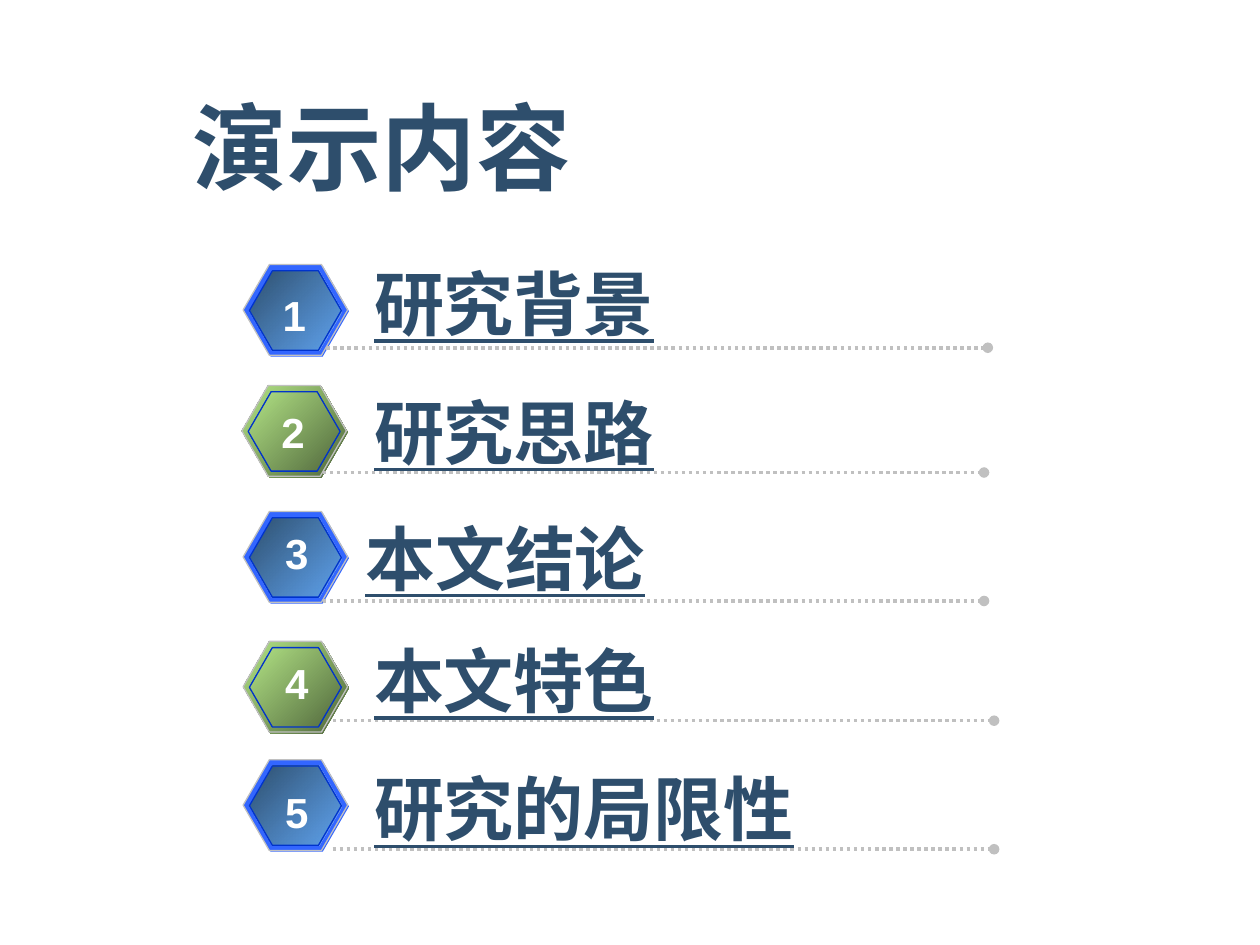
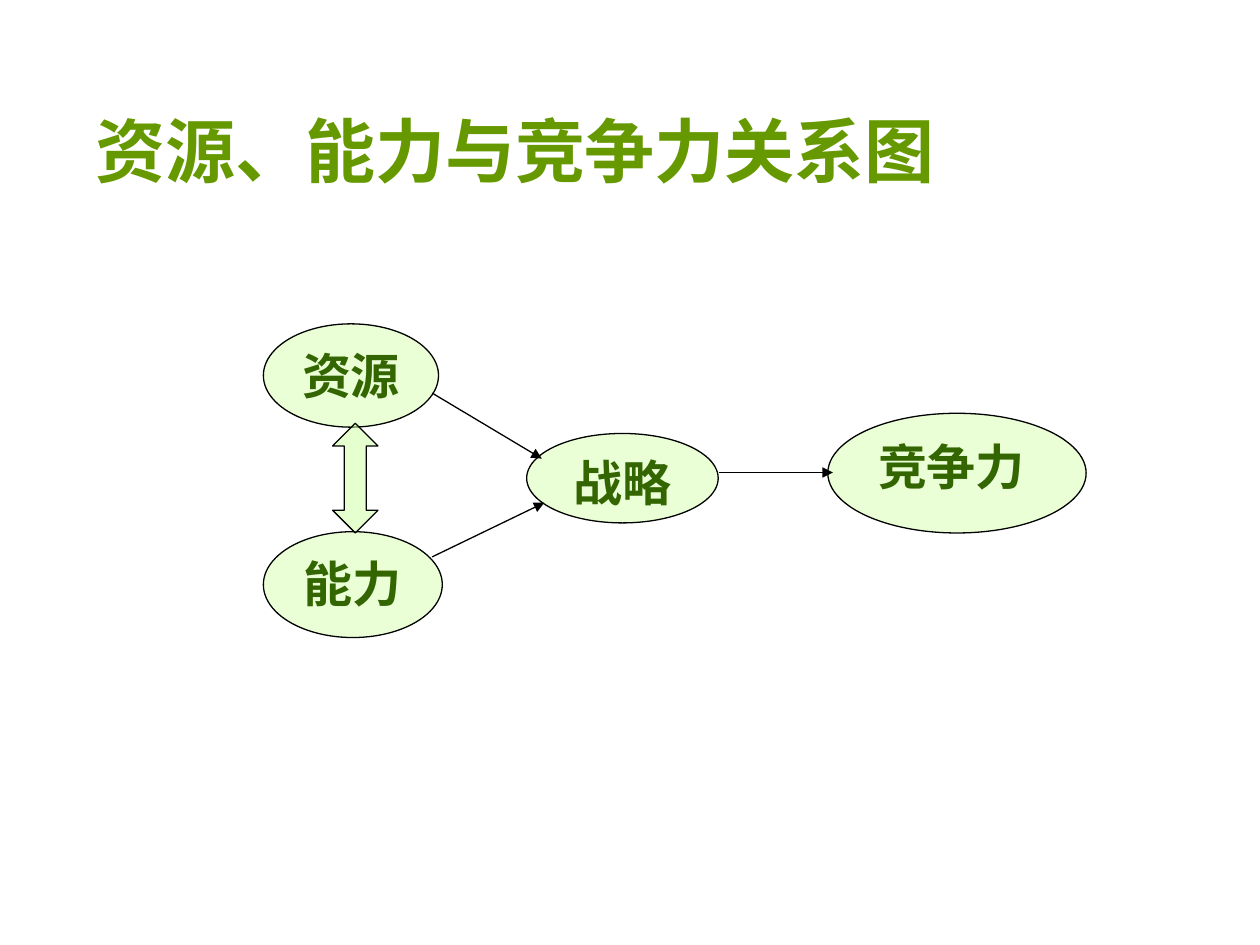
from dataclasses import dataclass

from lxml import etree
from pptx import Presentation
from pptx.dml.color import RGBColor
from pptx.enum.dml import MSO_LINE
from pptx.enum.shapes import MSO_CONNECTOR, MSO_SHAPE
from pptx.enum.text import MSO_ANCHOR, PP_ALIGN
from pptx.oxml.ns import qn
from pptx.util import Inches, Pt

HEXAGON, OVAL = MSO_SHAPE.HEXAGON, MSO_SHAPE.OVAL
UP_DOWN = MSO_SHAPE.UP_DOWN_ARROW
STRAIGHT = MSO_CONNECTOR.STRAIGHT
DOTTED = MSO_LINE.ROUND_DOT
TOP, MIDDLE = MSO_ANCHOR.TOP, MSO_ANCHOR.MIDDLE
LEFT, CENTER, JUSTIFY = PP_ALIGN.LEFT, PP_ALIGN.CENTER, PP_ALIGN.JUSTIFY


@dataclass(frozen=True)
class Theme:
    navy: str = "2E4E6C"
    sky: str = "65AAE9"
    blue: str = "3366FF"
    outline: str = "0033CC"
    olive: str = "52693D"
    lime: str = "B2E385"
    silver: str = "C0C0C0"
    white: str = "FFFFFF"
    black: str = "000000"
    title_green: str = "669900"
    node_fill: str = "CCFF99"
    node_text: str = "336600"
    chinese: str = "Noto Sans CJK SC"
    sans: str = "Arial"
    serif: str = "Times New Roman"
    agenda_title: int = 54
    heading: int = 40
    node: int = 28
    number: int = 24
    hairline: float = 0.75
    dotted: int = 2


theme = Theme()


def write(shape, text, font, size, color, align=LEFT, anchor=TOP, wrap=True, underline=None):
    """Fill a shape with one bold run."""
    frame = shape.text_frame
    frame.word_wrap = wrap
    frame.vertical_anchor = anchor
    para = frame.paragraphs[0]
    para.alignment = align
    span = para.add_run()
    span.text = text
    span.font.name = font
    span.font.size = Pt(size)
    span.font.bold = True
    span.font.underline = underline
    span.font.color.rgb = RGBColor.from_string(color)
    east_asian = etree.SubElement(span.font._element, qn("a:ea"))
    east_asian.set("typeface", theme.chinese)
    return para


def draw_line(shapes, start, end, color, width, tip):
    """Draw a straight line with a tip at its end."""
    line = shapes.add_connector(STRAIGHT, *map(Inches, start + end))
    line.line.color.rgb = RGBColor.from_string(color)
    line.line.width = Pt(width)
    properties = line.element.spPr
    tail = etree.SubElement(properties.find(qn("a:ln")), qn("a:tailEnd"))
    tail.set("type", tip)
    etree.SubElement(properties, qn("a:effectLst"))
    return line


deck = Presentation()
deck.slide_width, deck.slide_height = Inches(10), Inches(7.5)
blank = deck.slide_layouts[6]

# Slide 1: agenda
page = deck.slides.add_slide(blank)
box = page.shapes.add_textbox(Inches(0.59), Inches(0.6), Inches(9), Inches(1.11))
box.text_frame.margin_left = Inches(0.94)
write(box, "演示内容", theme.agenda_title and theme.chinese, theme.agenda_title,
      theme.navy, anchor=MIDDLE)

# Badge left and top, number left and top, label left and top, rule left and height
agenda = [
    ("研究背景", (1.93, 2.1), (2.14, 2.25), (2.87, 2.02), (2.59, 2.76)),
    ("研究思路", (1.92, 3.06), (2.13, 3.18), (2.87, 3.04), (2.56, 3.75)),
    ("本文结论", (1.93, 4.06), (2.16, 4.14), (2.8, 4.04), (2.56, 4.77)),
    ("本文特色", (1.93, 5.09), (2.16, 5.17), (2.87, 5.01), (2.64, 5.72)),
    ("研究的局限性", (1.93, 6.03), (2.16, 6.19), (2.87, 6.03), (2.64, 6.74)),
]
# Offset, width, height and outline of the stacked hexagons, back to front
layers = [
    (0.01, 0.83, 0.72, None),
    (0, 0.83, 0.72, theme.silver),
    (0.05, 0.73, 0.63, theme.outline),
]
rule_length = 5.25

for number, (label, badge_at, number_at, label_at, rule_at) in enumerate(agenda, 1):
    is_blue = number % 2 == 1
    gradient = (theme.sky, theme.navy) if is_blue else (theme.olive, theme.lime)

    # Hexagon badge
    badge = page.shapes.add_group_shape()
    for offset, width, height, outline in layers:
        hexagon = badge.shapes.add_shape(
            HEXAGON, Inches(badge_at[0] + offset), Inches(badge_at[1] + offset),
            Inches(width), Inches(height))
        hexagon.shadow.inherit = False
        hexagon.adjustments[0] = 0.289
        is_face = outline == theme.outline
        if is_blue and not is_face:
            hexagon.fill.solid()
            hexagon.fill.fore_color.rgb = RGBColor.from_string(theme.blue)
        else:
            hexagon.fill.gradient()
            hexagon.fill.gradient_angle = 135
            for stop, color in zip(hexagon.fill.gradient_stops, gradient):
                stop.color.rgb = RGBColor.from_string(color)
            if is_blue:
                first_color = hexagon.element.xpath(".//a:gs[1]/a:srgbClr")[0]
                etree.SubElement(first_color, qn("a:alpha")).set("val", "87000")
        if outline:
            hexagon.line.color.rgb = RGBColor.from_string(outline)
            hexagon.line.width = Pt(theme.hairline)
        else:
            hexagon.line.fill.background()

    # Dotted rule
    rule = draw_line(page.shapes, rule_at, (rule_at[0] + rule_length, rule_at[1]),
                     theme.silver, theme.dotted, "oval")
    rule.line.dash_style = DOTTED

    # Number and label
    box = page.shapes.add_textbox(*map(Inches, number_at), Inches(0.39), Inches(0.5))
    write(box, str(number), theme.sans, theme.number, theme.white, CENTER, wrap=False)
    box = page.shapes.add_textbox(*map(Inches, label_at), Inches(4.02), Inches(0.77))
    para = write(box, label, theme.chinese, theme.heading, theme.navy, underline=True)
    para.space_before = Pt(25)

# Slide 2: relationship diagram
page = deck.slides.add_slide(blank)
box = page.shapes.add_textbox(Inches(0.66), Inches(0.68), Inches(9.34), Inches(1.02))
write(box, "资源、能力与竞争力关系图", theme.sans, theme.heading, theme.title_green,
      anchor=MIDDLE)
diagram = page.shapes.add_group_shape().shapes

# Ellipses and the double arrow, with their opacity in percent
nodes = [
    (OVAL, "资源", (2.09, 2.57, 1.39, 0.82), CENTER, 40),
    (OVAL, "能力", (2.09, 4.22, 1.42, 0.84), CENTER, 40),
    (OVAL, "战略", (4.18, 3.44, 1.52, 0.71), CENTER, 40),
    (OVAL, "竞争力", (6.57, 3.28, 2.05, 0.95), JUSTIFY, 40),
    (UP_DOWN, "", (2.64, 3.36, 0.36, 0.87), CENTER, 48),
]
for kind, label, bounds, align, opacity in nodes:
    node = diagram.add_shape(kind, *map(Inches, bounds))
    node.shadow.inherit = False
    node.fill.solid()
    node.fill.fore_color.rgb = RGBColor.from_string(theme.node_fill)
    fill_color = node.element.xpath("./p:spPr/a:solidFill/a:srgbClr")[0]
    etree.SubElement(fill_color, qn("a:alpha")).set("val", str(opacity * 1000))
    node.line.color.rgb = RGBColor.from_string(theme.black)
    node.line.width = Pt(theme.hairline)
    if label:
        write(node, label, theme.serif, theme.node, theme.node_text, align)
    else:
        node.adjustments[1] = 0.484

# Arrows towards strategy and competitiveness
arrows = [
    ((3.43, 3.12), (4.3, 3.64)),
    ((3.43, 4.42), (4.32, 3.99)),
    ((5.71, 3.75), (6.61, 3.75)),
]
for start, end in arrows:
    draw_line(diagram, start, end, theme.black, theme.hairline, "triangle")

deck.save("out.pptx")
